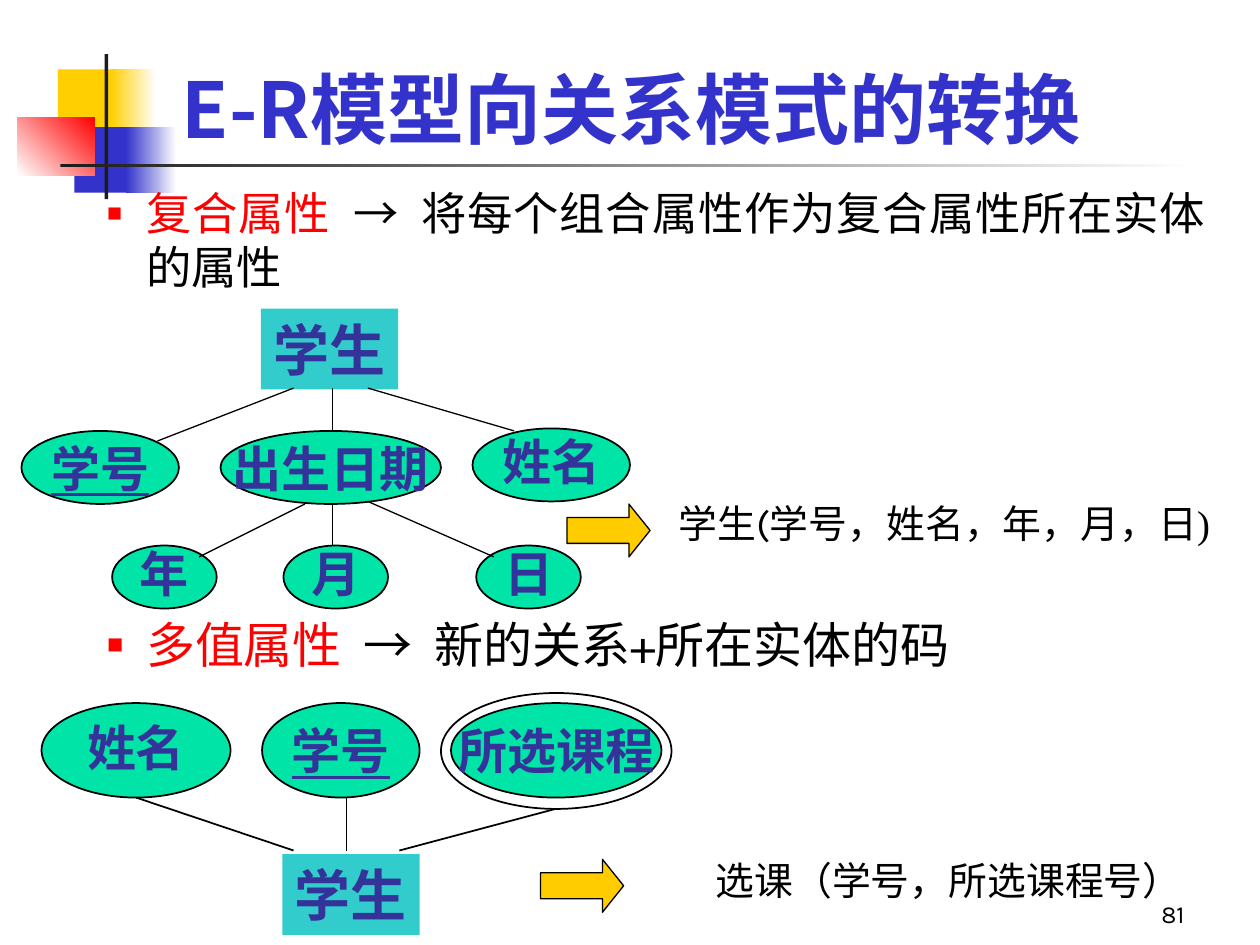
from lxml.etree import SubElement as Sub
from pptx import Presentation
from pptx.dml.color import RGBColor as Rgb
from pptx.enum.shapes import MSO_CONNECTOR as Conn, MSO_SHAPE as Kind
from pptx.enum.text import MSO_ANCHOR as Anchor, MSO_AUTO_SIZE as Fit, PP_ALIGN as Align
from pptx.oxml.ns import qn
from pptx.util import Pt

SCALE = 9144
HAN = "Noto Sans CJK SC"
ROMAN = "Times New Roman"
BLACK, RED, BLUE, WHITE = "000000", "FF0000", "3333CC", "FFFFFF"
GOLD, DARK, TEAL, MINT, NAVY = "FFCF01", "1C1C1C", "33CCCC", "00E4A8", "333399"


def emu(*sizes):
    return [size * SCALE for size in sizes]


def ink(code):
    return Rgb.from_string(code)


def apply(item, values):
    for name, value in values.items():
        setattr(item, name, value)


class Deck:
    def __init__(self):
        self.file = Presentation()
        apply(self.file, dict(zip(("slide_width", "slide_height"), emu(1000, 750))))
        self.slide = self.file.slides.add_slide(self.file.slide_layouts[3])
        self.room = self.slide.shapes
        self.frame = {"word_wrap": True, "auto_size": Fit.NONE,
                      "vertical_anchor": Anchor.TOP}
        self.bold = {"bold": True, "name": ROMAN}

    def group(self):
        self.room = self.slide.shapes.add_group_shape().shapes

    def leave(self):
        self.room = self.slide.shapes

    def label(self, shape, runs, size, frame=None, para=None, font=None, dent=None, mark=None):
        apply(shape.text_frame, {**self.frame, **(frame or {})})
        line = shape.text_frame.paragraphs[0]
        apply(line, {"space_before": Pt(0), **(para or {})})
        props = line._p.get_or_add_pPr()
        if dent:
            for name, value in zip(("marL", "indent"), emu(*dent)):
                props.set(name, str(value))
        if mark:
            Sub(Sub(props, qn("a:buClr")), qn("a:srgbClr")).set("val", mark)
            Sub(props, qn("a:buSzPct")).set("val", "55000")
            Sub(props, qn("a:buFont")).set("typeface", "Arial")
            Sub(props, qn("a:buChar")).set("char", "■")
        for text, face, tint in runs:
            run = line.add_run()
            run.text = text
            apply(run.font, {"size": Pt(size), "name": face, **(font or {})})
            run.font.color.rgb = ink(tint)
            Sub(run.font._element, qn("a:ea")).set("typeface", HAN)

    def holder(self, index, box, runs, size, **style):
        shape = self.slide.placeholders[index]
        apply(shape, dict(zip(("left", "top", "width", "height"), emu(*box))))
        self.slide.shapes._spTree.append(shape._element)
        self.label(shape, runs, size, **style)

    def title(self, box, text):
        self.holder(0, box, [(text, HAN, BLUE)], 44, frame={"vertical_anchor": Anchor.BOTTOM},
                    para={"alignment": Align.CENTER}, font={"bold": True})

    def item(self, index, box, head, tail, size):
        runs = [(head + "  ", "Karla", RED), ("→", "Arial", BLACK), ("  " + tail, "Karla", BLACK)]
        self.holder(index, box, runs, size, para={"alignment": Align.JUSTIFY, "level": 1},
                    dent=(81, -31), mark=RED)

    def text(self, box, runs, size, **style):
        self.label(self.room.add_textbox(*emu(*box)), runs, size, **style)

    def shape(self, kind, box, fill=None, edge=0):
        shape = self.room.add_shape(kind, *emu(*box))
        shape.shadow.inherit = False
        if fill:
            shape.fill.solid()
            shape.fill.fore_color.rgb = ink(fill)
        else:
            shape.fill.background()
        if edge:
            shape.line.width = Pt(edge)
            shape.line.color.rgb = ink(BLACK)
        else:
            shape.line.fill.background()
        return shape

    def fade(self, box, start, end, angle=0):
        fill = self.shape(Kind.RECTANGLE, box).fill
        fill.gradient()
        fill.gradient_angle = angle
        for stop, tint in zip(fill.gradient_stops, (start, end)):
            stop.color.rgb = ink(tint)

    def node(self, shape, text, size, ratio=1.0, key=False):
        self.label(shape, [(text, ROMAN, NAVY)], size,
                   frame={"word_wrap": False, "vertical_anchor": Anchor.MIDDLE},
                   para={"alignment": Align.CENTER, "line_spacing": ratio},
                   font={**self.bold, "underline": key})

    def entity(self, left, top):
        self.node(self.shape(Kind.RECTANGLE, (left, top, 109, 64), TEAL), "学生", 32)

    def oval(self, box, text, ratio=1.0, key=False):
        self.node(self.shape(Kind.OVAL, box, MINT, 1), text, 28, ratio, key)

    def arrow(self, left, top):
        shape = self.shape(Kind.RIGHT_ARROW, (left, top, 66, 42), "FFCC00", 0.75)
        for index, value in enumerate((0.49, 0.4)):
            shape.adjustments[index] = value

    def link(self, ends, width):
        line = self.room.add_connector(Conn.STRAIGHT, *emu(*ends))
        line.line.width = Pt(width)
        line.line.color.rgb = ink(BLACK)
        Sub(line._element.spPr, qn("a:effectLst"))


def main():
    deck = Deck()
    rect = Kind.RECTANGLE
    deck.shape(rect, (46, 55, 48, 52), GOLD)
    deck.fade((88, 55, 36, 52), GOLD, WHITE)
    deck.shape(rect, (59, 101, 46, 52), BLUE)
    deck.fade((100, 101, 40, 52), BLUE, WHITE)
    deck.fade((14, 93, 61, 46), WHITE, RED, 45)
    deck.shape(rect, (83, 43, 3, 115), DARK)
    deck.fade((48, 130, 900, 3), DARK, WHITE)

    deck.text((742, 692, 208, 50), [("81", "Karla", BLACK)], 14,
              frame={"vertical_anchor": Anchor.BOTTOM}, para={"alignment": Align.RIGHT})
    deck.title((75, 25, 852, 102), "E-R模型向关系模式的转换")
    deck.item(2, (25, 483, 942, 58), "多值属性", "新的关系+所在实体的码", 28)
    deck.arrow(429, 682)
    deck.text((508, 675, 492, 50),
              [("选课（", "Karla", BLACK), ("学号，所选课程号）", ROMAN, BLACK)], 22.2,
              para={"level": 1}, dent=(81, -31))

    deck.group()
    deck.entity(224, 678)
    deck.oval((33, 558, 150, 75), "姓名", 0.9)
    deck.oval((208, 558, 125, 75), "学号", key=True)
    deck.oval((358, 558, 167, 75), "所选课程")
    for ends in ((275, 633, 275, 675), (233, 675, 108, 633), (317, 675, 441, 642)):
        deck.link(ends, 1)
    deck.shape(Kind.OVAL, (350, 550, 183, 92), edge=1)
    deck.leave()

    deck.item(1, (25, 142, 942, 100), "复合属性", "将每个组合属性作为复合属性所在实体的属性", 25.9)

    deck.group()
    deck.entity(207, 245)
    deck.oval((375, 340, 125, 58), "姓名", 0.9)
    deck.oval((17, 342, 125, 58), "学号", key=True)
    deck.oval((175, 342, 175, 58), "出生日期")
    for left, part in ((89, "年"), (225, "月"), (378, "日")):
        deck.oval((left, 433, 83, 50), part, 0.9)
    for ends in ((264, 308, 264, 342), (264, 400, 264, 433), (242, 400, 158, 442),
                 (292, 398, 392, 442), (233, 308, 125, 350), (292, 308, 408, 342)):
        deck.link(ends, 0.75)
    deck.leave()

    deck.text((458, 392, 533, 58),
              [("学生(", "Karla", BLACK), ("学号，姓名，年，月，日)", ROMAN, BLACK)], 22.2,
              para={"alignment": Align.CENTER, "level": 1}, dent=(81, -31))
    deck.arrow(450, 400)
    deck.file.save("out.pptx")


if __name__ == "__main__":
    main()
